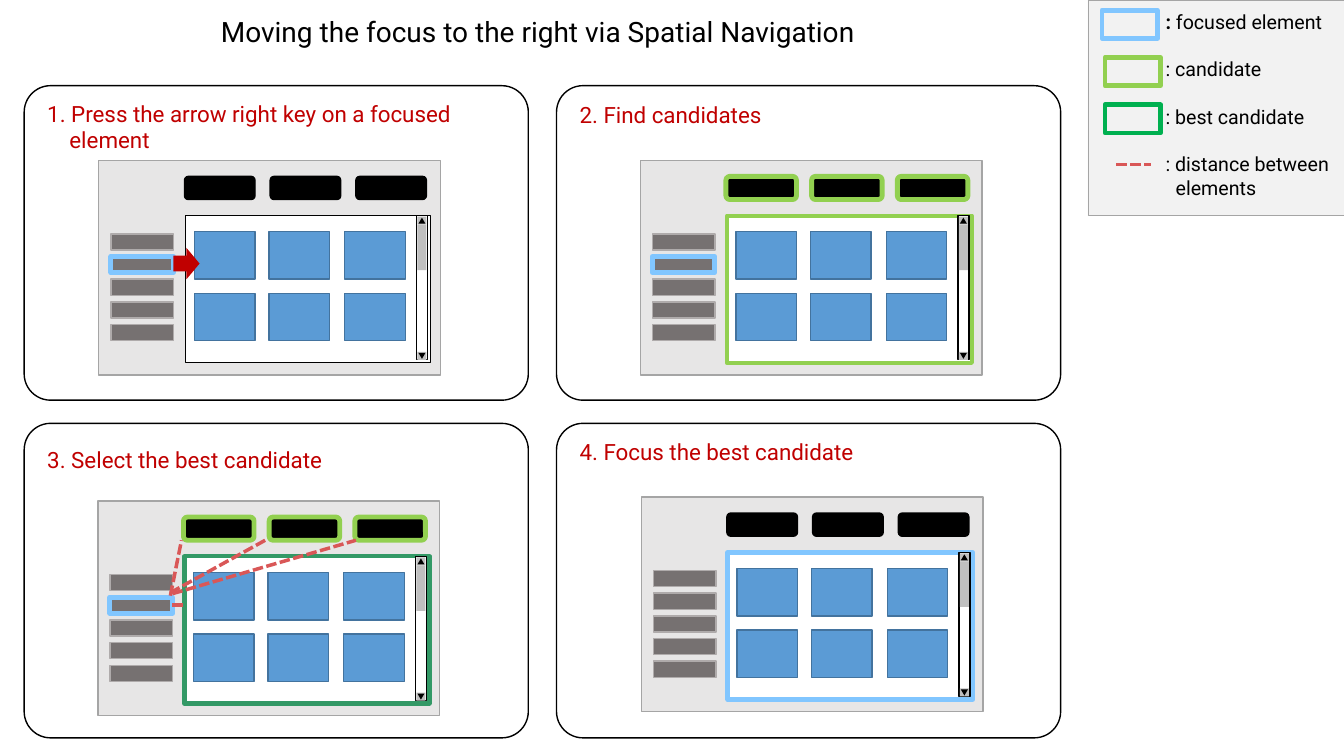
from pptx import Presentation
from pptx.dml.color import RGBColor
from pptx.enum.dml import MSO_LINE
from pptx.enum.shapes import MSO_CONNECTOR, MSO_SHAPE
from pptx.enum.text import MSO_ANCHOR, MSO_AUTO_SIZE, PP_ALIGN
from pptx.util import Inches, Pt
from lxml import etree

RECT, ROUNDED = MSO_SHAPE.RECTANGLE, MSO_SHAPE.ROUNDED_RECTANGLE
TRIANGLE, ARROW = MSO_SHAPE.ISOSCELES_TRIANGLE, MSO_SHAPE.RIGHT_ARROW
STRAIGHT, DASH = MSO_CONNECTOR.STRAIGHT, MSO_LINE.SQUARE_DOT
LEFT, TOP, NO_FIT = PP_ALIGN.LEFT, MSO_ANCHOR.TOP, MSO_AUTO_SIZE.NONE

FONT = "Roboto"
BLACK = RGBColor(0x00, 0x00, 0x00)
WHITE = RGBColor(0xFF, 0xFF, 0xFF)
RED = RGBColor(0xC0, 0x00, 0x00)
DISTANCE = RGBColor(0xD9, 0x57, 0x57)
FOCUS = RGBColor(0x81, 0xC6, 0xFF)
CANDIDATE = RGBColor(0x92, 0xD0, 0x50)
BEST = RGBColor(0x33, 0x99, 0x66)
BEST_KEY = RGBColor(0x00, 0xB0, 0x50)
SCREEN = RGBColor(0xE7, 0xE6, 0xE6)
OUTLINE = RGBColor(0xA5, 0xA5, 0xA5)
MENU = RGBColor(0x76, 0x71, 0x71)
MENU_LINE = RGBColor(0xAF, 0xAB, 0xAB)
CARD = RGBColor(0x5B, 0x9B, 0xD5)
CARD_LINE = RGBColor(0x43, 0x73, 0x9E)
SCROLL = RGBColor(0xBF, 0xBF, 0xBF)
LEGEND = RGBColor(0xF2, 0xF2, 0xF2)


def add_shape(s, kind, x, y, w, h, fill=None, line=None, width=1):
    sp = s.shapes.add_shape(kind, Inches(x), Inches(y), Inches(w), Inches(h))
    sp.shadow.inherit = False
    if fill is None:
        sp.fill.background()
    else:
        sp.fill.solid()
        sp.fill.fore_color.rgb = fill
    if line is None:
        sp.line.fill.background()
    else:
        sp.line.color.rgb = line
        sp.line.width = Pt(width)
    return sp


def add_distance(s, x1, y1, x2, y2):
    """Draw a dashed distance line."""
    cx = s.shapes.add_connector(STRAIGHT, Inches(x1), Inches(y1), Inches(x2), Inches(y2))
    cx.line.color.rgb = DISTANCE
    cx.line.width = Pt(2.5)
    cx.line.dash_style = DASH
    etree.SubElement(cx._element.spPr,
                     "{http://schemas.openxmlformats.org/drawingml/2006/main}effectLst")


def set_text(tf, lines, size, color, indent=0):
    """Write one paragraph per line; a line starting with a tab is indented."""
    tf.auto_size = NO_FIT
    tf.vertical_anchor = TOP
    tf.text = "\n".join(line.strip() for line in lines)
    for line, p in zip(lines, tf.paragraphs):
        p.alignment = LEFT
        if line.startswith("\t"):
            p._p.get_or_add_pPr().set("marL", str(Inches(indent)))
        for r in p.runs:
            r.font.name = FONT
            r.font.size = Pt(size)
            r.font.color.rgb = color


def add_title(s, text):
    sp = s.shapes.title
    sp.left, sp.top, sp.width, sp.height = Inches(2.09), Inches(0.09), Inches(6.62), Inches(0.44)
    set_text(sp.text_frame, [text], 20, BLACK)
    sp.text_frame.word_wrap = False


def add_panel(s, x, y, label_y, lines):
    sp = add_shape(s, ROUNDED, x, y, 5, 3.12, WHITE, BLACK)
    sp.adjustments[0] = 0.084
    tb = s.shapes.add_textbox(Inches(x + 0.13), Inches(label_y), Inches(4.78),
                              Inches(0.1 + 0.27 * len(lines)))
    tb.text_frame.word_wrap = True
    set_text(tb.text_frame, lines, 16, RED, 0.22)


def add_scrollbar(s, x, y):
    add_shape(s, RECT, x, y, 0.11, 1.43, WHITE, BLACK)
    add_shape(s, RECT, x + 0.01, y + 0.09, 0.09, 0.45, SCROLL)
    for end_y, angle in ((y + 0.01, 0), (y + 1.35, 180)):
        add_shape(s, RECT, x + 0.01, end_y, 0.09, 0.08, SCROLL)
        add_shape(s, TRIANGLE, x + 0.02, end_y + 0.01, 0.07, 0.06, BLACK).rotation = angle


def add_screen(s, x, y, frame, frame_width, buttons=(BLACK, 1), menu_focused=True):
    """Draw the mock web page with the given outlines."""
    add_shape(s, RECT, x, y, 3.39, 2.13, SCREEN, OUTLINE)
    add_shape(s, RECT, x + 0.86, y + 0.55, 2.43, 1.46, WHITE, frame, frame_width)
    for row in range(5):
        line, width = (FOCUS, 3.5) if menu_focused and row == 1 else (MENU_LINE, 1)
        add_shape(s, RECT, x + 0.12, y + 0.73 + row * 0.9 / 4, 0.62, 0.16, MENU, line, width)
    for card_y in (0.71, 1.32):
        for card_x in (0.95, 1.69, 2.44):
            add_shape(s, RECT, x + card_x, y + card_y, 0.6, 0.47, CARD, CARD_LINE)
    for col in range(3):
        add_shape(s, ROUNDED, x + 0.85 + 0.85 * col, y + 0.16, 0.7, 0.23, BLACK, *buttons)
    add_scrollbar(s, x + 3.15, y + 0.55)


def add_legend(s):
    sp = add_shape(s, RECT, 10.79, 0, 2.54, 2.14, LEGEND, OUTLINE, 0.5)
    tf = sp.text_frame
    tf.word_wrap = True
    tf.margin_left, tf.margin_top = Inches(0.77), Inches(0.1)
    tf.margin_right = tf.margin_bottom = 0
    set_text(tf, [": focused element", ": candidate", ": best candidate",
                  ": distance between", "\telements"], 14, BLACK, 0.1)
    for p in tf.paragraphs[1:4]:
        p.space_before = Pt(17)
    colon = tf.paragraphs[0].runs[0]
    colon.text = ": "
    colon.font.bold = True
    r = tf.paragraphs[0].add_run()
    r.text = "focused element"
    r.font.name, r.font.size, r.font.color.rgb = FONT, Pt(14), BLACK
    for row, (x, color) in enumerate(((10.93, FOCUS), (10.96, CANDIDATE), (10.96, BEST_KEY))):
        add_shape(s, RECT, x, 0.1 + 0.47 * row, 0.55, 0.28, None, color, 3.5)
    add_distance(s, 11.07, 1.63, 11.42, 1.63)


def main():
    prs = Presentation()
    prs.slide_width, prs.slide_height = Inches(13.33), Inches(7.5)
    s = prs.slides.add_slide(prs.slide_layouts[5])
    add_title(s, "Moving the focus to the right via Spatial Navigation")

    add_panel(s, 0.24, 0.85, 0.94, ["1. Press the arrow right key on a focused", "\telement"])
    add_panel(s, 5.52, 0.85, 0.95, ["2. Find candidates"])
    add_panel(s, 0.24, 4.2, 4.38, ["3. Select the best candidate"])
    add_panel(s, 5.52, 4.2, 4.3, ["4. Focus the best candidate"])

    highlighted = (CANDIDATE, 3.5)
    add_screen(s, 0.98, 1.59, BLACK, 1)
    add_screen(s, 6.35, 1.59, CANDIDATE, 3, highlighted)
    add_screen(s, 0.97, 4.97, BEST, 3, highlighted)
    add_screen(s, 6.36, 4.93, FOCUS, 3.5, menu_focused=False)

    add_shape(s, ARROW, 1.72, 2.46, 0.26, 0.31, RED)
    for ends in ((1.71, 6, 1.82, 6), (1.69, 5.88, 2.63, 5.36),
                 (1.69, 5.91, 1.8, 5.36), (1.71, 5.89, 3.53, 5.36)):
        add_distance(s, *ends)
    add_legend(s)
    prs.save("out.pptx")


if __name__ == "__main__":
    main()
